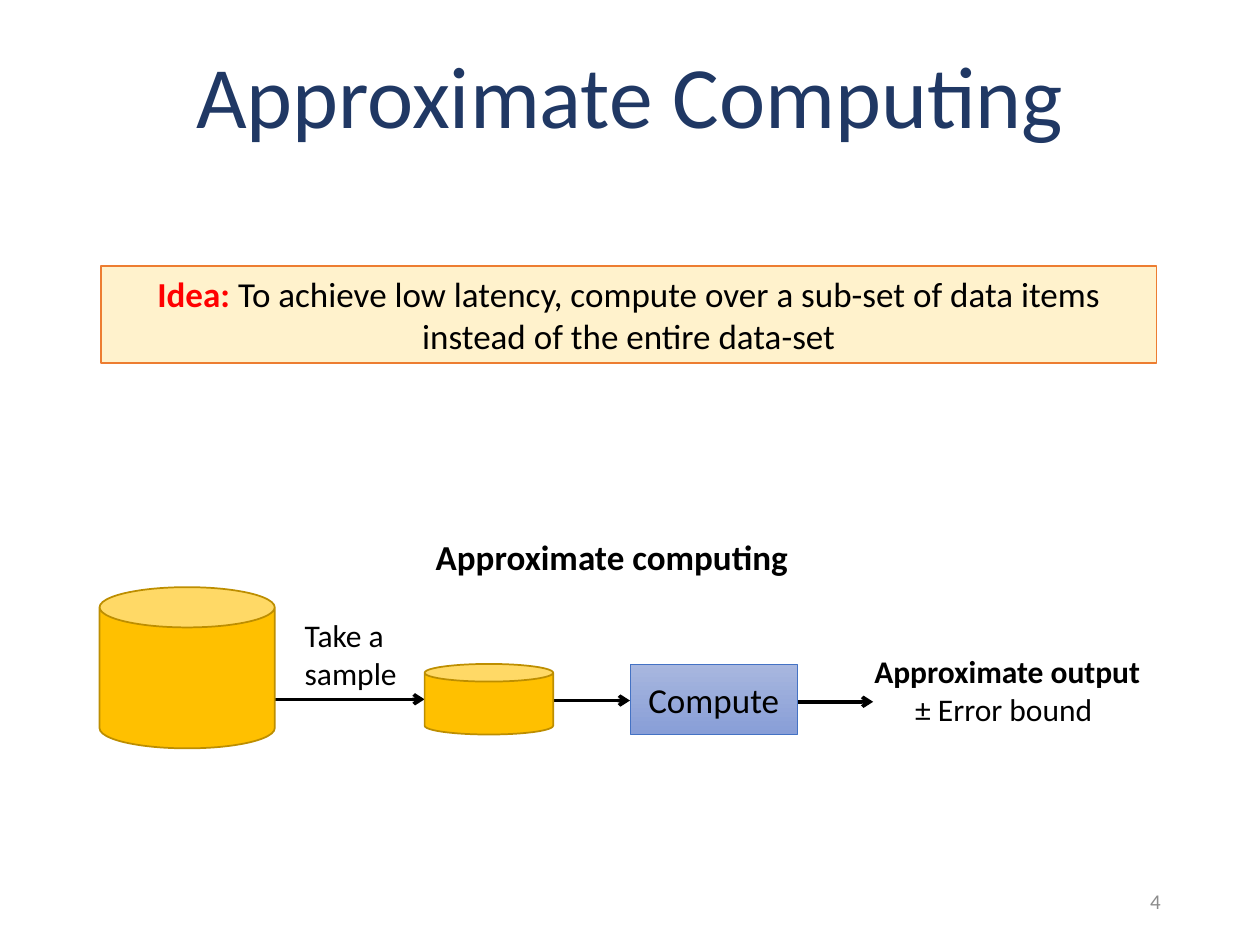
from dataclasses import dataclass
from lxml.etree import SubElement
from pptx import Presentation
from pptx.dml.color import RGBColor
from pptx.enum.shapes import MSO_CONNECTOR, MSO_SHAPE
from pptx.enum.text import MSO_ANCHOR, PP_ALIGN
from pptx.oxml.ns import qn
from pptx.util import Inches, Pt


@dataclass(frozen=True)
class Theme:
    """Colours, font and type sizes of the slide."""
    font: str = "Calibri"
    title: str = "203864"
    text: str = "000000"
    muted: str = "8C8C8C"
    accent: str = "FF0000"
    data: str = "FFC000"
    data_line: str = "BD8E00"
    idea: str = "FFF2CC"
    idea_line: str = "ED7D31"
    compute: tuple = ("A8B7DF", "889ED7")
    compute_line: str = "4472C4"
    title_size: int = 50
    body_size: int = 20
    label_size: int = 18
    number_size: int = 12


theme = Theme()
LEFT, CENTER, RIGHT = PP_ALIGN.LEFT, PP_ALIGN.CENTER, PP_ALIGN.RIGHT
TOP, MIDDLE = MSO_ANCHOR.TOP, MSO_ANCHOR.MIDDLE


def write(box, paragraphs, size, align=LEFT, anchor=TOP, wrap=True):
    """Fill a box with paragraphs, each a list of (text, colour, bold) spans."""
    frame = box.text_frame
    frame.word_wrap = wrap
    frame.vertical_anchor = anchor
    for index, spans in enumerate(paragraphs):
        para = frame.paragraphs[0] if index == 0 else frame.add_paragraph()
        para.alignment = align
        for text, colour, bold in spans:
            span = para.add_run()
            span.text = text
            span.font.name = theme.font
            span.font.size = Pt(size)
            span.font.bold = bold
            span.font.color.rgb = RGBColor.from_string(colour)


def add_block(page, kind, place, fill, line, width):
    """Add a preset shape with a plain or two-colour fill and an outline."""
    block = page.shapes.add_shape(kind, *map(Inches, place))
    block.shadow.inherit = False
    if isinstance(fill, tuple):
        block.fill.gradient()
        block.fill.gradient_angle = 270
        for stop, colour in zip(block.fill.gradient_stops, fill):
            stop.color.rgb = RGBColor.from_string(colour)
    else:
        block.fill.solid()
        block.fill.fore_color.rgb = RGBColor.from_string(fill)
    block.line.color.rgb = RGBColor.from_string(line)
    block.line.width = Pt(width)
    return block


deck = Presentation()
deck.slide_width, deck.slide_height = Inches(10), Inches(7.5)
page = deck.slides.add_slide(deck.slide_layouts[6])

# Flow columns as (left, width); the small store and Compute share one row
store, sample, compute = (0.79, 1.39), (3.37, 1.02), (5, 1.33)
row_top, row_height = 5.27, 0.56
output_left = 6.93

# Arrows between the flow columns
arrows = [
    (sum(store), sample[0], 5.55),
    (sum(sample), compute[0], 5.56),
    (sum(compute), output_left, 5.57),
]
for start, end, level in arrows:
    arrow = page.shapes.add_connector(
        MSO_CONNECTOR.STRAIGHT, *map(Inches, (start, level, end, level)))
    arrow.line.color.rgb = RGBColor.from_string(theme.text)
    arrow.line.width = Pt(2)
    SubElement(arrow.line._get_or_add_ln(), qn("a:tailEnd"), type="arrow")
    SubElement(arrow._element.spPr, qn("a:effectLst"))

# Data stores, the compute step and the idea
for (left, width), top, height in [(store, 4.66, 1.28), (sample, row_top, row_height)]:
    add_block(page, MSO_SHAPE.CAN, (left, top, width, height),
              theme.data, theme.data_line, 1)
compute_box = add_block(page, MSO_SHAPE.RECTANGLE,
                        (compute[0], row_top, compute[1], row_height),
                        theme.compute, theme.compute_line, 0.5)
write(compute_box, [[("Compute", theme.text, False)]], theme.body_size, CENTER, MIDDLE)
idea_box = add_block(page, MSO_SHAPE.RECTANGLE, (0.8, 2.11, 8.38, 0.77),
                     theme.idea, theme.idea_line, 1)
write(idea_box, [[
    ("Idea: ", theme.accent, True),
    ("To achieve low latency, compute over a sub-set of data items "
     "instead of the entire data-set", theme.text, False),
]], theme.body_size, CENTER)

# Title, labels and page number
labels = [
    ((0.69, 0.3, 8.62, 0.99), [[("Approximate Computing", theme.title, False)]],
     theme.title_size, CENTER, MIDDLE, True),
    ((3.36, 4.2, 3.15, 0.44), [[("Approximate computing", theme.text, True)]],
     theme.body_size, LEFT, TOP, False),
    ((2.32, 4.84, 0.94, 0.71),
     [[("Take a ", theme.text, False)], [("sample", theme.text, False)]],
     theme.label_size, LEFT, TOP, False),
    ((6.78, 5.05, 2.43, 0.85),
     [[("Approximate output ", theme.text, True), ("± Error bound ", theme.text, False)]],
     theme.label_size, CENTER, MIDDLE, True),
    ((7.06, 6.95, 2.25, 0.4), [[("4", theme.muted, False)]],
     theme.number_size, RIGHT, MIDDLE, True),
]
for place, paragraphs, size, align, anchor, wrap in labels:
    box = page.shapes.add_textbox(*map(Inches, place))
    write(box, paragraphs, size, align, anchor, wrap)
    if size == theme.title_size:
        box.text_frame.paragraphs[0].line_spacing = 0.9

deck.save("out.pptx")
